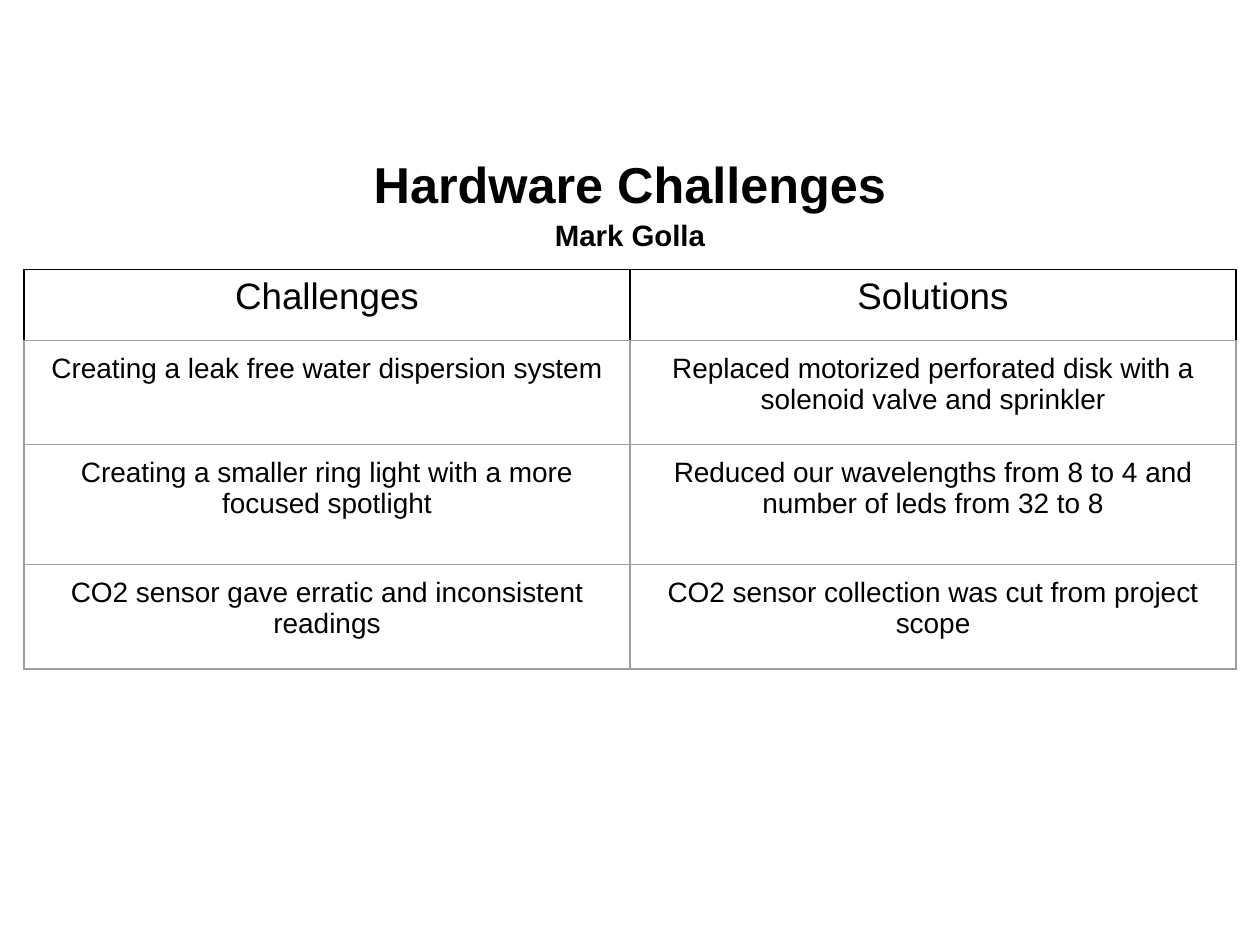
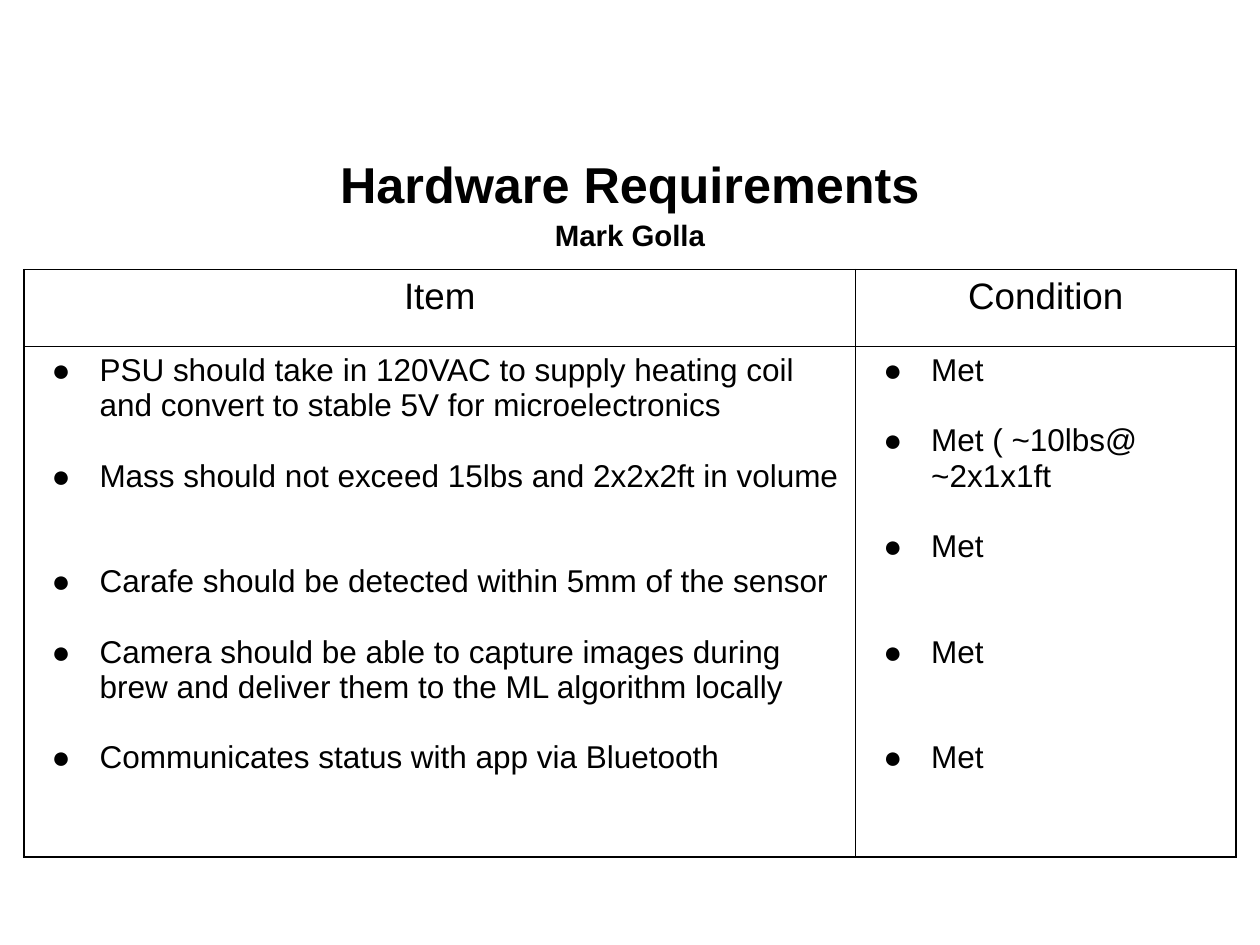
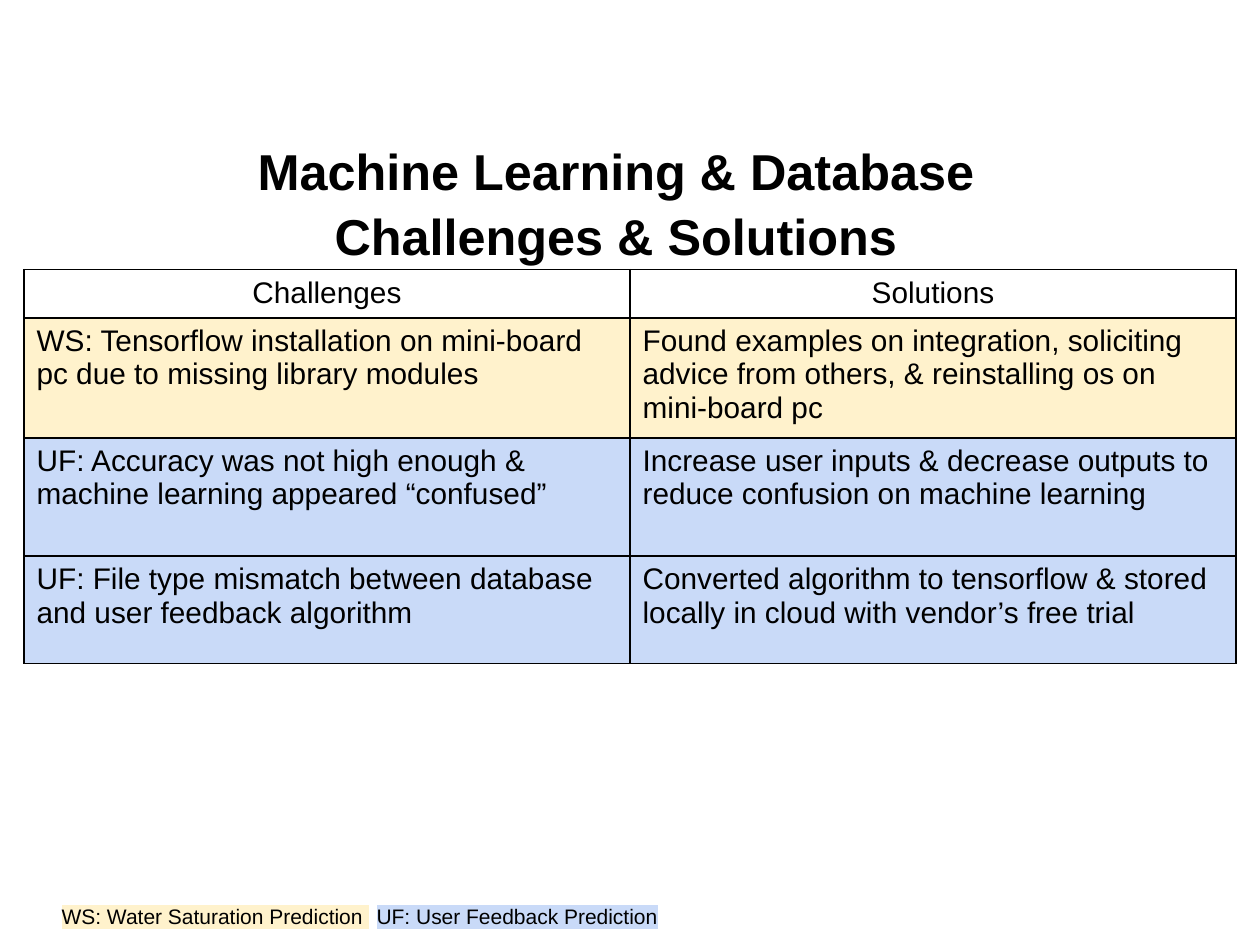
from lxml import etree
from pptx import Presentation
from pptx import util as u
from pptx.dml import color
from pptx.enum import text
from pptx.oxml import ns

FONT = "Arial"
BLACK, GREY = "000000", "9E9E9E"
CREAM, SKY = "FFF2CC", "C9DAF8"
LINE_GAP = 20.1
CENTER, LEFT = text.PP_ALIGN.CENTER, text.PP_ALIGN.LEFT


def paint(fill, hex_color):
    fill.solid()
    fill.fore_color.rgb = color.RGBColor.from_string(hex_color)


def add_run(paragraph, words, size, bold=False):
    run = paragraph.add_run()
    run.text = words
    run.font.size = u.Pt(size)
    run.font.bold = bold
    run.font.name = FONT
    paint(run.font.fill, BLACK)
    return run


pages = [
    {
        "title": [("Hardware Challenges", 28.8, 0), ("Mark Golla", 16.8, 0)],
        "columns": [4.81, 4.81],
        "heights": [0.56, 0.83, 0.95, 0.83],
        "head_size": 21, "body_size": 16, "body_align": CENTER, "body_inset": 0.1,
        "grid": GREY, "weight": 0.75, "fills": [None] * 4, "bullets": False,
        "rows": [
            ["Challenges", "Solutions"],
            ["Creating a leak free water dispersion system",
             "Replaced motorized perforated disk with a solenoid valve and sprinkler"],
            ["Creating a smaller ring light with a more focused spotlight",
             "Reduced our wavelengths from 8 to 4 and number of leds from 32 to 8"],
            ["CO2 sensor gave erratic and inconsistent readings",
             "CO2 sensor collection was cut from project scope"],
        ],
    },
    {
        "title": [("Hardware Requirements", 28.8, 0), ("Mark Golla", 16.8, 0)],
        "columns": [6.6, 3.02],
        "heights": [0.61, 4.05],
        "head_size": 21, "body_size": 18, "body_align": LEFT, "body_inset": 0.05,
        "grid": BLACK, "weight": 1, "fills": [None] * 2, "bullets": True,
        "rows": [
            ["Item", "Condition"],
            [
                [("PSU should take in 120VAC to supply heating coil and convert to stable 5V for microelectronics", 0),
                 ("Mass should not exceed 15lbs and 2x2x2ft in volume", 1),
                 ("Carafe should be detected within 5mm of the sensor", 2),
                 ("Camera should be able to capture images during brew and deliver them to the ML algorithm locally", 1),
                 ("Communicates status with app via Bluetooth", 1)],
                [("Met", 0), ("Met ( ~10lbs@ ~2x1x1ft", 1), ("Met", 1), ("Met", 2), ("Met", 2)],
            ],
        ],
    },
    {
        "title": [("Machine Learning & Database", 28.8, 0.22), ("Challenges & Solutions", 28.8, 0)],
        "columns": [4.81, 4.81],
        "heights": [0.31, 0.94, 0.94, 0.85],
        "head_size": 17, "body_size": 17, "body_align": LEFT, "body_inset": 0.05,
        "grid": BLACK, "weight": 1, "fills": [None, CREAM, SKY, SKY], "bullets": False,
        "rows": [
            ["Challenges", "Solutions"],
            ["WS: Tensorflow installation on mini-board pc due to missing library modules",
             "Found examples on integration, soliciting advice from others, & reinstalling os on mini-board pc"],
            ["UF: Accuracy was not high enough & machine learning appeared “confused”",
             "Increase user inputs & decrease outputs to reduce confusion on machine learning"],
            ["UF: File type mismatch between database and user feedback algorithm",
             "Converted algorithm to tensorflow & stored locally in cloud with vendor’s free trial"],
        ],
    },
]

deck = Presentation()
deck.slide_width, deck.slide_height = u.Inches(10), u.Inches(7.5)

for page in pages:
    slide = deck.slides.add_slide(deck.slide_layouts[6])

    heading = slide.shapes.add_textbox(
        u.Inches(0.5), u.Inches(1.15), u.Inches(9), u.Inches(0.88)).text_frame
    heading.word_wrap = True
    heading.vertical_anchor = text.MSO_ANCHOR.MIDDLE
    for index, (words, size, right_margin) in enumerate(page["title"]):
        paragraph = heading.add_paragraph() if index else heading.paragraphs[0]
        paragraph.alignment = CENTER
        paragraph.line_spacing = 1.08
        if right_margin:
            paragraph._p.get_or_add_pPr().set("marR", str(u.Inches(right_margin)))
        add_run(paragraph, words, size, True)

    columns, heights = page["columns"], page["heights"]
    grid = slide.shapes.add_table(
        len(heights), len(columns), u.Inches(0.19), u.Inches(2.14),
        u.Inches(sum(columns)), u.Inches(sum(heights))).table
    grid.first_row = grid.horz_banding = False
    for column, width in zip(grid.columns, columns):
        column.width = u.Inches(width)

    for row_index, row in enumerate(page["rows"]):
        grid.rows[row_index].height = u.Inches(heights[row_index])
        is_head = row_index == 0
        for column_index, content in enumerate(row):
            cell = grid.cell(row_index, column_index)
            cell.margin_left = cell.margin_right = u.Inches(0.1)
            cell.margin_top = cell.margin_bottom = u.Inches(0.05 if is_head else page["body_inset"])

            properties = cell._tc.get_or_add_tcPr()
            for side in "LRTB":
                edge = etree.SubElement(properties, ns.qn("a:ln" + side), w=str(u.Pt(page["weight"])))
                edge_fill = etree.SubElement(edge, ns.qn("a:solidFill"))
                edge_color = BLACK if is_head and side != "B" else page["grid"]
                etree.SubElement(edge_fill, ns.qn("a:srgbClr"), val=edge_color)

            if page["fills"][row_index]:
                paint(cell.fill, page["fills"][row_index])
            else:
                cell.fill.background()

            entries = [(content, 0)] if isinstance(content, str) else content
            for index, (words, blank_lines) in enumerate(entries):
                paragraph = cell.text_frame.add_paragraph() if index else cell.text_frame.paragraphs[0]
                paragraph.alignment = CENTER if is_head else page["body_align"]
                if blank_lines:
                    paragraph.space_before = u.Pt(LINE_GAP * blank_lines)
                if page["bullets"] and not is_head:
                    layout = paragraph._p.get_or_add_pPr()
                    layout.set("marL", str(u.Inches(0.5)))
                    layout.set("indent", str(u.Inches(-0.38)))
                    bullet_color = etree.SubElement(layout, ns.qn("a:buClr"))
                    etree.SubElement(bullet_color, ns.qn("a:srgbClr"), val=BLACK)
                    etree.SubElement(layout, ns.qn("a:buFont"), typeface=FONT)
                    etree.SubElement(layout, ns.qn("a:buChar"), char="●")
                add_run(paragraph, words, page["head_size"] if is_head else page["body_size"])

legend = slide.shapes.add_textbox(
    u.Inches(0.39), u.Inches(7.07), u.Inches(9.35), u.Inches(0.4)).text_frame
legend.word_wrap = True
legend.margin_top = legend.margin_bottom = u.Inches(0.1)
for words, marker in [("WS: Water Saturation Prediction ", CREAM), ("\t", None),
                      ("UF: User Feedback Prediction", SKY)]:
    run = add_run(legend.paragraphs[0], words, 12)
    if marker:
        highlight = etree.Element(ns.qn("a:highlight"))
        etree.SubElement(highlight, ns.qn("a:srgbClr"), val=marker)
        run._r.rPr.find(ns.qn("a:solidFill")).addnext(highlight)

deck.save("out.pptx")
